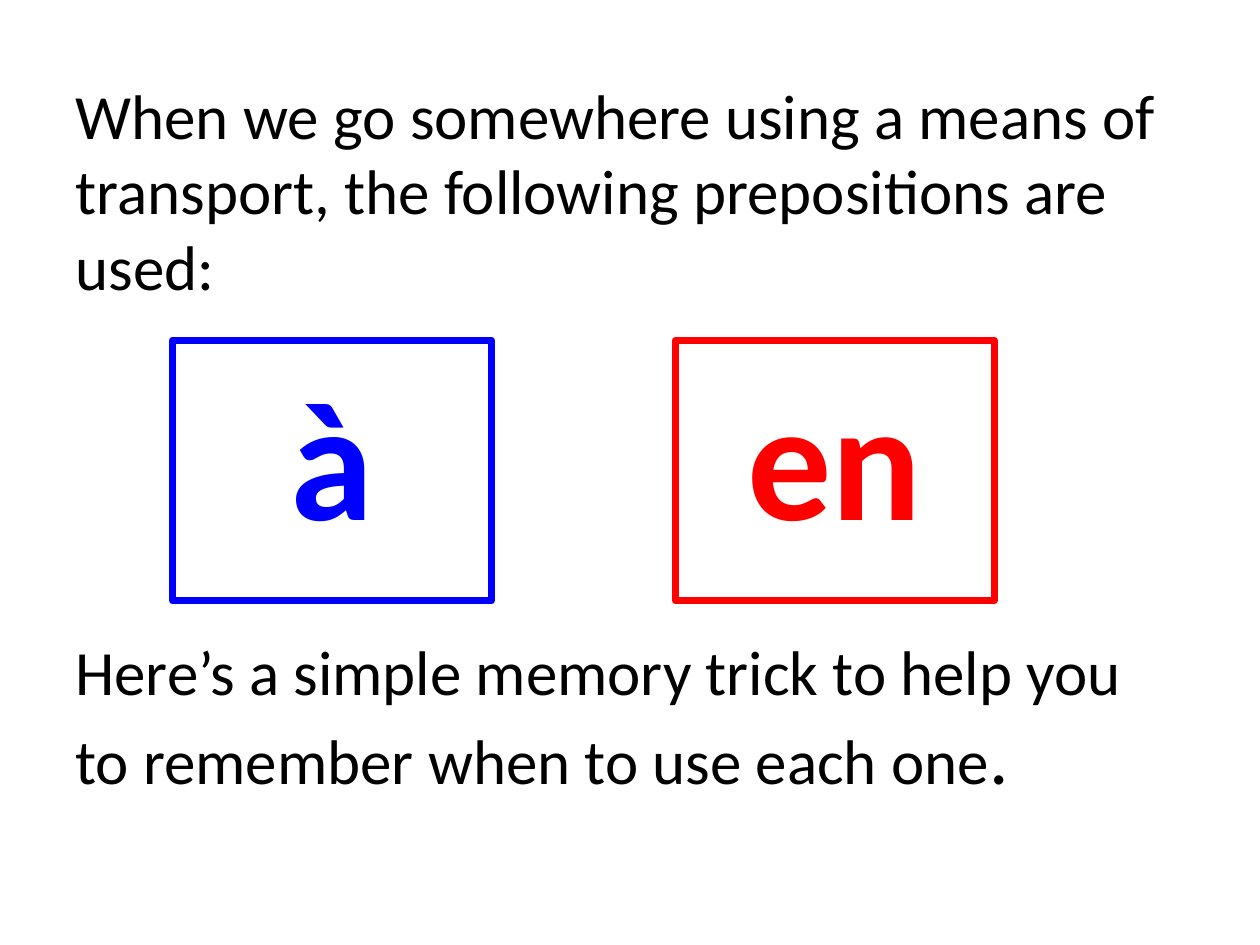
from dataclasses import dataclass

from pptx import Presentation
from pptx import util as u
from pptx.dml.color import RGBColor
from pptx.enum import shapes, text


@dataclass(frozen=True)
class Theme:
    font: str = "Calibri"
    ink: str = "000000"
    blue: str = "0000FF"
    red: str = "FF0000"
    body: int = 36
    stop: int = 44
    preposition: int = 96
    border: int = 4


class SlideBuilder:
    def __init__(self, slide, theme):
        self.slide = slide
        self.theme = theme

    def add_run(self, paragraph, words, size, color, bold=False):
        run = paragraph.add_run()
        run.text = words
        run.font.name = self.theme.font
        run.font.size = u.Pt(size)
        run.font.bold = bold
        run.font.color.rgb = RGBColor.from_string(color)

    def add_title(self, words, left, top, width, height):
        heading = self.slide.shapes.title
        heading.left, heading.top = u.Inches(left), u.Inches(top)
        heading.width, heading.height = u.Inches(width), u.Inches(height)
        frame = heading.text_frame
        frame.word_wrap = True
        frame.auto_size = text.MSO_AUTO_SIZE.NONE
        frame.vertical_anchor = text.MSO_ANCHOR.MIDDLE
        paragraph = frame.paragraphs[0]
        paragraph.alignment = text.PP_ALIGN.LEFT
        self.add_run(paragraph, words, self.theme.body, self.theme.ink)

    def add_preposition(self, word, color, left, top, width, height):
        card = self.slide.shapes.add_shape(
            shapes.MSO_SHAPE.RECTANGLE,
            u.Inches(left), u.Inches(top), u.Inches(width), u.Inches(height),
        )
        card.shadow.inherit = False
        card.fill.background()
        card.line.color.rgb = RGBColor.from_string(color)
        card.line.width = u.Pt(self.theme.border)
        frame = card.text_frame
        frame.word_wrap = True
        frame.vertical_anchor = text.MSO_ANCHOR.TOP
        frame.margin_top = u.Inches(0.1)
        paragraph = frame.paragraphs[0]
        paragraph.alignment = text.PP_ALIGN.CENTER
        self.add_run(paragraph, word, self.theme.preposition, color, bold=True)

    def add_text(self, runs, left, top, width, height):
        passage = self.slide.shapes.add_textbox(
            u.Inches(left), u.Inches(top), u.Inches(width), u.Inches(height)
        )
        frame = passage.text_frame
        frame.word_wrap = True
        frame.auto_size = text.MSO_AUTO_SIZE.SHAPE_TO_FIT_TEXT
        for words, size in runs:
            self.add_run(frame.paragraphs[0], words, size, self.theme.ink)


def main():
    deck = Presentation()
    deck.slide_width, deck.slide_height = u.Inches(10), u.Inches(7.5)
    theme = Theme()
    builder = SlideBuilder(deck.slides.add_slide(deck.slide_layouts[5]), theme)

    builder.add_title(
        "When we go somewhere using a means of transport, "
        "the following prepositions are used:",
        0.5, 0.3, 9, 2.41,
    )
    prepositions = [("à", theme.blue), ("en", theme.red)]
    for index, (word, color) in enumerate(prepositions):
        builder.add_preposition(word, color, 1.37 + index * 3.99, 2.7, 2.53, 2.07)
    builder.add_text(
        [
            ("Here’s a simple memory trick to help you "
             "to remember when to use each one", theme.body),
            (".", theme.stop),
        ],
        0.5, 4.97, 9, 1.44,
    )
    deck.save("out.pptx")


if __name__ == "__main__":
    main()
